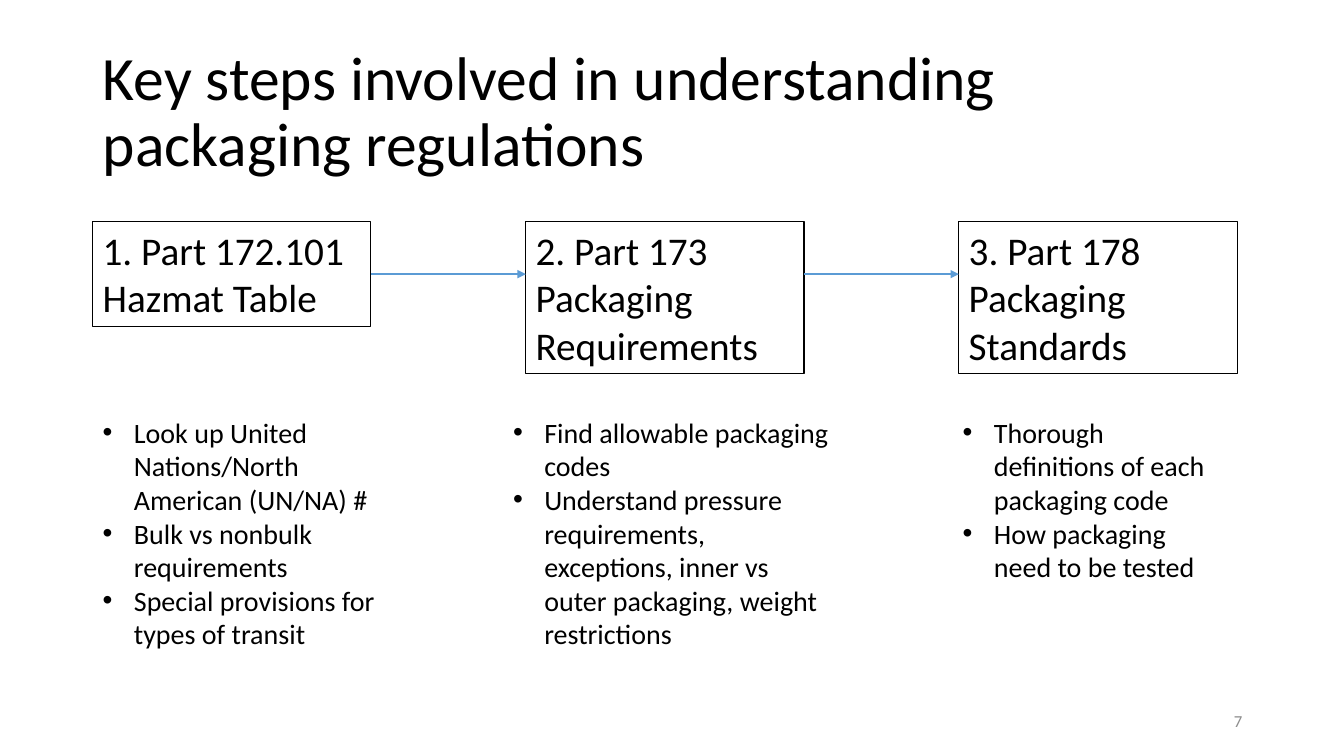
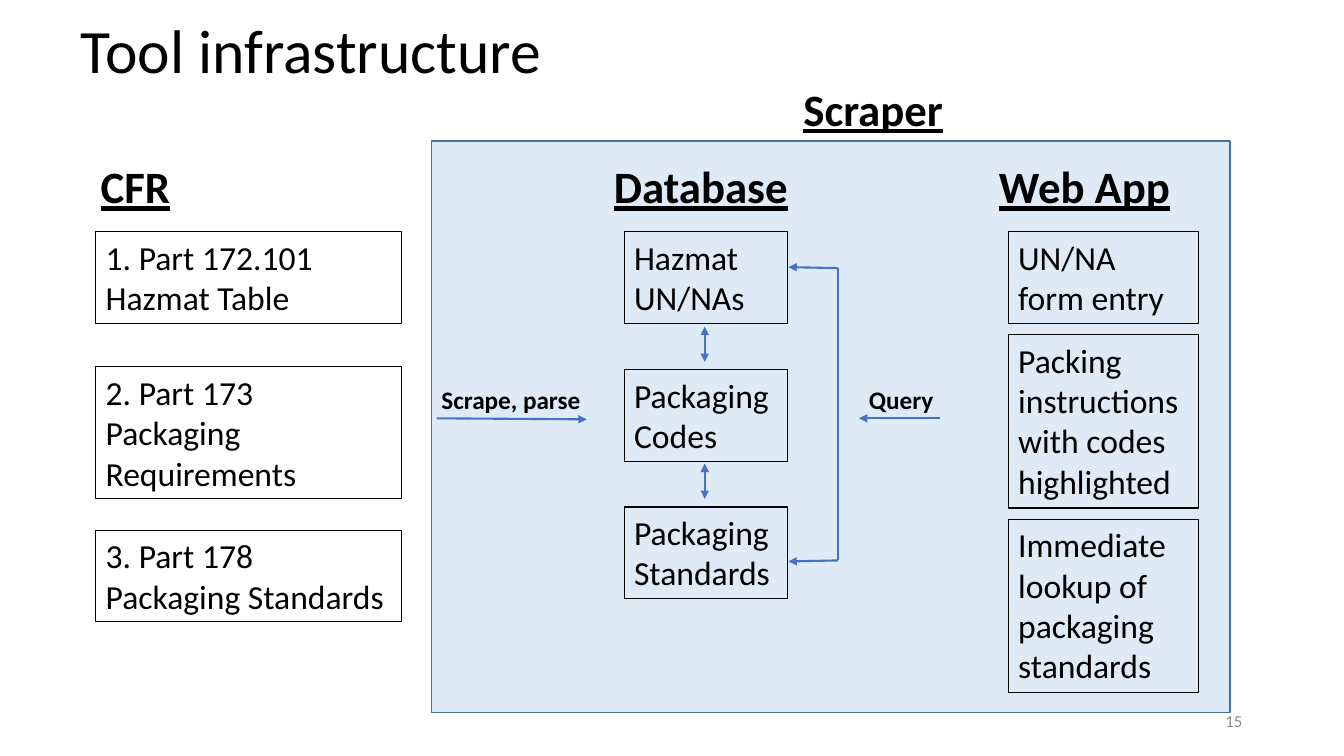
from lxml import etree
from pptx import Presentation
from pptx.dml.color import RGBColor
from pptx.enum.shapes import MSO_CONNECTOR as Connector, MSO_SHAPE as Shape
from pptx.enum.text import MSO_ANCHOR as Anchor, MSO_AUTO_SIZE as AutoSize, PP_ALIGN as Align
from pptx.oxml.ns import qn
from pptx.util import Inches, Pt

FONT = "Calibri"
BLACK, GRAY = "000000", "8C8C8C"
STEP_BLUE, FLOW_BLUE = "5B9BD5", "4472C4"
PANEL_FILL, PANEL_LINE = "DEEBF7", "43739E"

STEPS = [
    {"part": "1. Part 172.101 Hazmat Table", "height": 1.04, "list_at": (0.92, 2.96, 2.46),
     "tasks": ["Look up United Nations/North American (UN/NA) #",
               "Bulk vs nonbulk requirements",
               "Special provisions for types of transit"]},
    {"part": "2. Part 173 Packaging Requirements", "height": 1.51, "list_at": (4.99, 3.4, 2.46),
     "tasks": ["Find allowable packaging codes",
               "Understand pressure requirements, exceptions, inner vs outer packaging, "
               "weight restrictions"]},
    {"part": "3. Part 178\nPackaging Standards", "height": 1.51, "list_at": (9.45, 2.76, 1.78),
     "tasks": ["Thorough definitions of each packaging code",
               "How packaging need to be tested"]},
]
STEP_LEFT, STEP_TOP, STEP_WIDTH, STEP_PITCH = 0.92, 2.2, 2.76, 4.295
STEP_ARROW_Y = STEP_TOP + STEPS[0]["height"] / 2
LIST_TOP = 4.07

HEADINGS = [("CFR", 0.9, 1.53, 1.46), ("Database", 5.99, 1.53, 2.27),
            ("Web App", 9.81, 1.53, 2.27), ("Scraper", 7.87, 0.76, 1.63)]
COLUMNS = [
    (0.95, 3.03, [("1. Part 172.101\vHazmat Table", 2.3, 0.91),
                  ("2. Part 173\vPackaging Requirements", 3.64, 1.31),
                  ("3. Part 178\vPackaging Standards", 5.26, 0.91)]),
    (6.19, 1.62, [("Hazmat UN/NAs", 2.3, 0.91),
                  ("Packaging Codes", 3.67, 0.91),
                  ("Packaging Standards", 5.03, 0.91)]),
    (10, 1.89, [("UN/NA\vform entry", 2.3, 0.91),
                ("Packing instructions with codes highlighted", 3.32, 1.72),
                ("Immediate lookup of packaging standards", 5.15, 1.72)]),
]
FLOW_LABELS = [("Scrape, parse", 4.28, 3.76, 1.91), ("Query", 8.52, 3.76, 0.9)]
FLOWS = [
    ((4.33, 4.15), (5.82, 4.16), ("tail",)),
    ((9.32, 4.15), (8.52, 4.15), ("tail",)),
    ((6.99, 3.24), (6.99, 3.59), ("head", "tail")),
    ((6.99, 4.6), (6.99, 4.95), ("head", "tail")),
    ((8.31, 2.66), (7.82, 2.65), ("tail",)),
    ((8.31, 5.56), (7.82, 5.57), ("tail",)),
    ((8.31, 2.66), (8.31, 5.56), ()),
]


def rgb(color):
    return RGBColor.from_string(color)


def inches(*lengths):
    return [Inches(length) for length in lengths]


def write(frame, text, size, color=BLACK, strong=False, underline=False, bullet=False):
    frame.word_wrap = True
    frame.text = text
    for paragraph in frame.paragraphs:
        paragraph.alignment = Align.LEFT
        if bullet:
            properties = paragraph._p.get_or_add_pPr()
            properties.set("marL", str(Inches(0.31)))
            properties.set("indent", str(-Inches(0.31)))
            etree.SubElement(properties, qn("a:buFont"), typeface="Arial")
            etree.SubElement(properties, qn("a:buChar"), char="•")
        font = paragraph.font
        font.name, font.size = FONT, Pt(size)
        font.bold, font.underline = strong, underline
        font.color.rgb = rgb(color)


def add_text(slide, text, at, size, **style):
    frame = slide.shapes.add_textbox(*inches(*at)).text_frame
    write(frame, text, size, **style)
    return frame


def add_box(slide, at, line, width, fill=None):
    box = slide.shapes.add_shape(Shape.RECTANGLE, *inches(*at))
    box.shadow.inherit = False
    if fill:
        box.fill.solid()
        box.fill.fore_color.rgb = rgb(fill)
    else:
        box.fill.background()
    box.line.color.rgb = rgb(line)
    box.line.width = Pt(width)
    return box


def add_label_box(slide, text, at, size):
    box = add_box(slide, at, BLACK, 0.75)
    box.text_frame.vertical_anchor = Anchor.TOP
    write(box.text_frame, text, size)
    return box


def add_flow(slide, start, end, color, ends=("tail",)):
    flow = slide.shapes.add_connector(Connector.STRAIGHT, *inches(*start, *end))
    flow.line.color.rgb = rgb(color)
    flow.line.width = Pt(1.5)
    outline = flow.line._get_or_add_ln()
    for end_name in ends:
        etree.SubElement(outline, qn(f"a:{end_name}End"), type="triangle")
    etree.SubElement(flow._element.spPr, qn("a:effectLst"))
    return flow


def add_slide(deck, title, title_at, number):
    slide = deck.slides.add_slide(deck.slide_layouts[5])
    heading = slide.shapes.title
    heading.left, heading.top, heading.width, heading.height = inches(*title_at, 11.5, 1.45)
    frame = heading.text_frame
    write(frame, title, 44)
    frame.auto_size = AutoSize.NONE
    frame.vertical_anchor = Anchor.MIDDLE
    frame.paragraphs[0].line_spacing = 0.9
    footer = add_text(slide, number, (9.42, 6.95, 3, 0.4), 12, color=GRAY)
    footer.vertical_anchor = Anchor.MIDDLE
    footer.paragraphs[0].alignment = Align.RIGHT
    return slide


def build_steps(deck):
    slide = add_slide(deck, "Key steps involved in understanding packaging regulations",
                      (0.92, 0.4), "7")
    boxes = []
    for index, step in enumerate(STEPS):
        left = STEP_LEFT + index * STEP_PITCH
        boxes.append(add_label_box(slide, step["part"],
                                   (left, STEP_TOP, STEP_WIDTH, step["height"]), 28))
        list_left, width, height = step["list_at"]
        add_text(slide, "\n".join(step["tasks"]), (list_left, LIST_TOP, width, height), 20,
                 bullet=True)
    for index in range(len(STEPS) - 1):
        left = STEP_LEFT + index * STEP_PITCH
        arrow = add_flow(slide, (left + STEP_WIDTH, STEP_ARROW_Y),
                         (left + STEP_PITCH, STEP_ARROW_Y), STEP_BLUE)
        if index == 0:
            arrow.begin_connect(boxes[0], 3)


def build_infrastructure(deck):
    slide = add_slide(deck, "Tool infrastructure", (0.7, -0.19), "15")
    add_box(slide, (4.28, 1.4, 7.92, 5.67), PANEL_LINE, 1, PANEL_FILL)
    for text, left, top, width in HEADINGS:
        add_text(slide, text, (left, top, width, 0.64), 32, strong=True, underline=True)
    for left, width, parts in COLUMNS:
        for text, top, height in parts:
            add_label_box(slide, text, (left, top, width, height), 24)
    for text, left, top, width in FLOW_LABELS:
        add_text(slide, text, (left, top, width, 0.4), 18, strong=True)
    for start, end, ends in FLOWS:
        add_flow(slide, start, end, FLOW_BLUE, ends)


def main():
    deck = Presentation()
    deck.slide_width, deck.slide_height = inches(13.33, 7.5)
    build_steps(deck)
    build_infrastructure(deck)
    deck.save("out.pptx")


if __name__ == "__main__":
    main()
